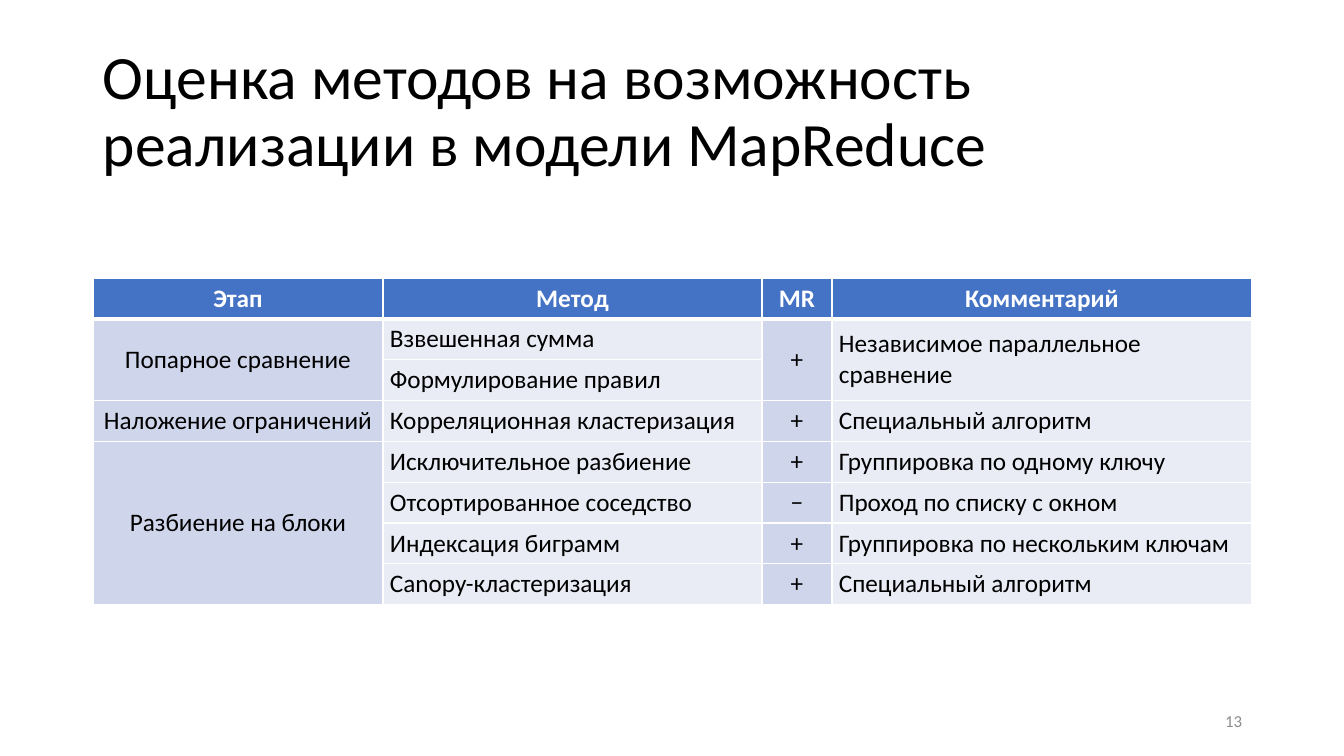
"""Build the slide that rates methods for MapReduce."""
from lxml.etree import SubElement as Sub
from pptx import Presentation
from pptx.dml.color import RGBColor
from pptx.enum.text import MSO_ANCHOR as Anchor, PP_ALIGN as Align
from pptx.oxml.ns import qn
from pptx.util import Pt

TITLE = "Оценка методов на возможность реализации в модели MapReduce"
PAGE = "13"
HEAD = ("Этап", "Метод", "MR", "Комментарий")
ROWS = [
    ("Попарное сравнение", "Взвешенная сумма", "+", "Независимое параллельное сравнение"),
    (None, "Формулирование правил", None, None),
    ("Наложение ограничений", "Корреляционная кластеризация", "+", "Специальный алгоритм"),
    ("Разбиение на блоки", "Исключительное разбиение", "+", "Группировка по одному ключу"),
    (None, "Отсортированное соседство", "−", "Проход по списку с окном"),
    (None, "Индексация биграмм", "+", "Группировка по нескольким ключам"),
    (None, "Canopy-кластеризация", "+", "Специальный алгоритм"),
]
WIDTHS = (290, 379, 70, 420)
LEFT, TOP, HEIGHT = 93, 278, 327
BLUE, DARK, PALE = "4472C4", "CFD5EA", "E9EBF5"
WHITE, BLACK, GREY = "FFFFFF", "000000", "8C8C8C"
SCALE = 914400 / 100.8


def px(size):
    return round(size * SCALE)


def color(code):
    return RGBColor.from_string(code)


def write(frame, text, size, code, align=Align.LEFT, bold=False):
    line = frame.paragraphs[0]
    line.text, line.alignment = text, align
    font = line.font
    font.name, font.size, font.bold = "Calibri", Pt(size), bold
    font.color.rgb = color(code)
    return line


def label(box, *style):
    frame = slide.shapes.add_textbox(*map(px, box)).text_frame
    frame.word_wrap, frame.vertical_anchor = True, Anchor.MIDDLE
    return write(frame, *style)


def border(cell, row):
    props = cell._tc.get_or_add_tcPr()
    wide = {"T": 3 if row == 1 else 1, "B": 1 if row else 3}
    for side in "LRTB":
        edge = Sub(props, qn(f"a:ln{side}"), w=str(Pt(wide.get(side, 1))))
        Sub(Sub(edge, qn("a:solidFill")), qn("a:srgbClr"), val=WHITE)


def paint(cell, row, col, text):
    border(cell, row)
    cell.fill.solid()
    cell.fill.fore_color.rgb = color(BLUE if row == 0 else PALE if col % 2 else DARK)
    if row:
        cell.vertical_anchor = Anchor.MIDDLE
        if col:
            cell.margin_left = cell.margin_right = px(7)
            cell.margin_top = cell.margin_bottom = 0
    align = Align.LEFT if row and col % 2 else Align.CENTER
    if text:
        write(cell.text_frame, text, 18, BLACK if row else WHITE, align, row == 0)


deck = Presentation()
deck.slide_width, deck.slide_height = px(1344), px(756)
slide = deck.slides.add_slide(deck.slide_layouts[6])
label((LEFT, 40, 1159, 146), TITLE, 44, BLACK).line_spacing = 0.9

grid = [HEAD, *ROWS]
table = slide.shapes.add_table(
    len(grid), len(HEAD), px(LEFT), px(TOP), px(sum(WIDTHS)), px(HEIGHT)).table
for col, width in enumerate(WIDTHS):
    table.columns[col].width = px(width)
    start = 0
    for row, line in enumerate(grid):
        table.rows[row].height = px(HEIGHT / len(grid))
        paint(table.cell(row, col), row, col, line[col])
        if line[col]:
            start = row
        elif row + 1 == len(grid) or grid[row + 1][col]:
            table.cell(start, col).merge(table.cell(row, col))

label((950, 701, 302, 40), PAGE, 12, GREY, Align.RIGHT)
deck.save("out.pptx")
